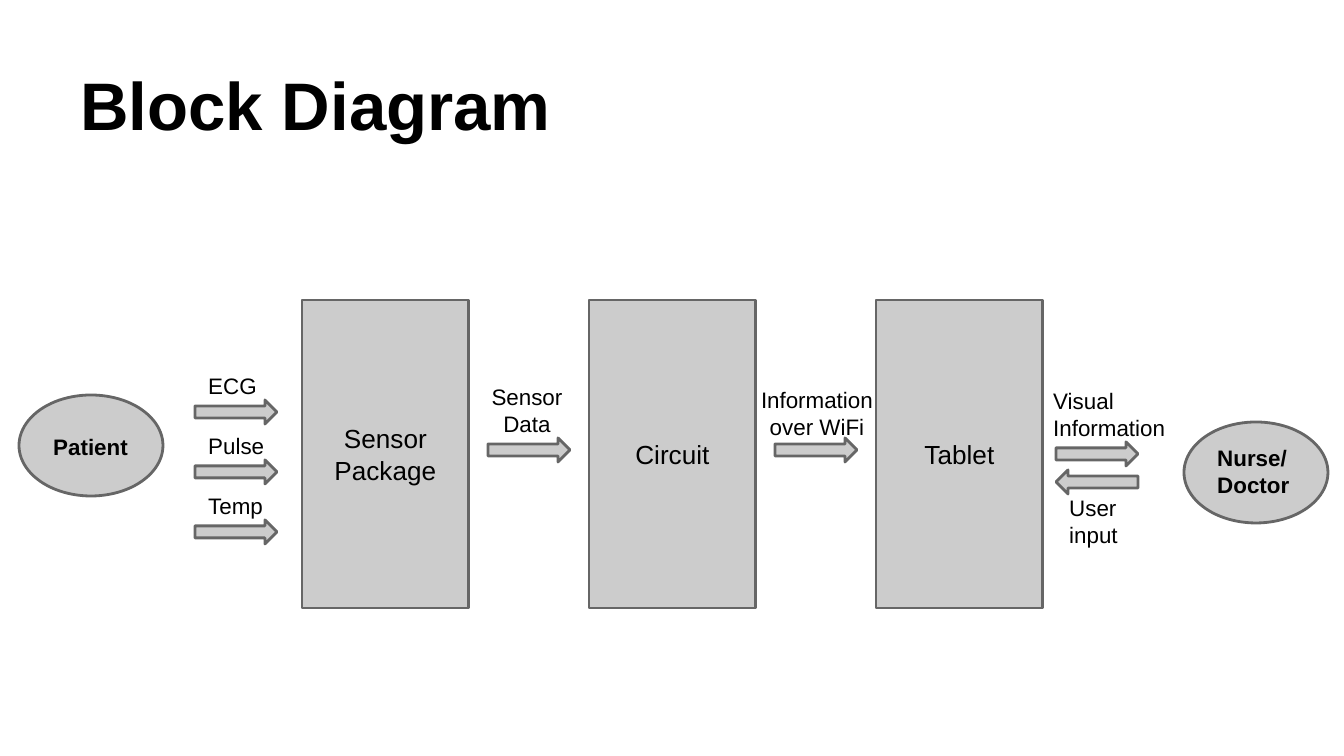
from dataclasses import dataclass
from pptx import Presentation, util as u
from pptx.dml import color
from pptx.enum import shapes, text

SCALE = 914400 / 134.4
KIND = shapes.MSO_SHAPE
LEFT, MID = text.PP_ALIGN.LEFT, text.PP_ALIGN.CENTER


@dataclass
class Box:
    x: int
    y: int
    w: int
    h: int

    def emu(self) -> list[u.Emu]:
        return [u.Emu(round(v * SCALE)) for v in (self.x, self.y, self.w, self.h)]


@dataclass
class Label:
    box: Box
    words: str
    align: text.PP_ALIGN = LEFT
    bold: bool = False


def paint(fmt, tone: str) -> None:
    fmt.solid()
    fmt.fore_color.rgb = color.RGBColor.from_string(tone)


def write(shape, words: str, size: int = 12, bold: bool = False,
          align: text.PP_ALIGN = LEFT,
          anchor: text.MSO_ANCHOR = text.MSO_ANCHOR.MIDDLE) -> None:
    frame = shape.text_frame
    frame.text = words
    frame.word_wrap = True
    frame.auto_size = text.MSO_AUTO_SIZE.NONE
    frame.vertical_anchor = anchor
    frame.margin_left = frame.margin_right = u.Inches(0.1)
    frame.margin_top = frame.margin_bottom = u.Inches(0.1)
    for para in frame.paragraphs:
        para.alignment = align
        for run in para.runs:
            run.font.name = "Arial"
            run.font.size = u.Pt(size)
            run.font.bold = bold
            paint(run.font.fill, "000000")


def draw(slide, kind: KIND, box: Box, turn: int = 0):
    shape = slide.shapes.add_shape(kind, *box.emu())
    shape.shadow.inherit = False
    shape.rotation = turn
    paint(shape.fill, "CCCCCC")
    paint(shape.line.fill, "666666")
    shape.line.width = u.Pt(1.5)
    return shape


def arrow(slide, x: int, y: int, turn: int = 0) -> None:
    draw(slide, KIND.RIGHT_ARROW, Box(x, y, 82, 24), turn)


def label(slide, item: Label) -> None:
    shape = slide.shapes.add_textbox(*item.box.emu())
    write(shape, item.words, bold=item.bold, align=item.align)


deck = Presentation()
deck.slide_width, deck.slide_height = Box(0, 0, 1344, 756).emu()[2:]
slide = deck.slides.add_slide(deck.slide_layouts[5])

title = slide.shapes.title
title.left, title.top, title.width, title.height = Box(67, 31, 1210, 126).emu()
write(title, "Block Diagram", size=36, bold=True, anchor=text.MSO_ANCHOR.BOTTOM)

for i, name in enumerate(("Sensor Package", "Circuit", "Tablet")):
    block = draw(slide, KIND.RECTANGLE, Box(302 + 287 * i, 300, 167, 308))
    write(block, name, size=14, align=MID)

for x, y in ((19, 395), (1184, 422)):
    draw(slide, KIND.OVAL, Box(x, y, 144, 101))

for i, name in enumerate(("ECG", "Pulse", "Temp")):
    arrow(slide, 195, 400 + 60 * i)
    label(slide, Label(Box(195, 364 + 60 * i, 144, 43), name))

for x, y, turn in ((488, 438, 0), (775, 438, 0), (1056, 442, 0), (1056, 470, 180)):
    arrow(slide, x, y, turn)

LABELS = [
    Label(Box(461, 384, 132, 52), "Sensor Data", MID),
    Label(Box(745, 387, 144, 52), "Information over WiFi", MID),
    Label(Box(1040, 390, 144, 48), "Visual\nInformation"),
    Label(Box(1056, 497, 126, 48), "User input"),
    Label(Box(40, 425, 144, 43), "Patient", bold=True),
    Label(Box(1204, 450, 144, 43), "Nurse/\nDoctor", bold=True),
]
for item in LABELS:
    label(slide, item)

deck.save("out.pptx")
